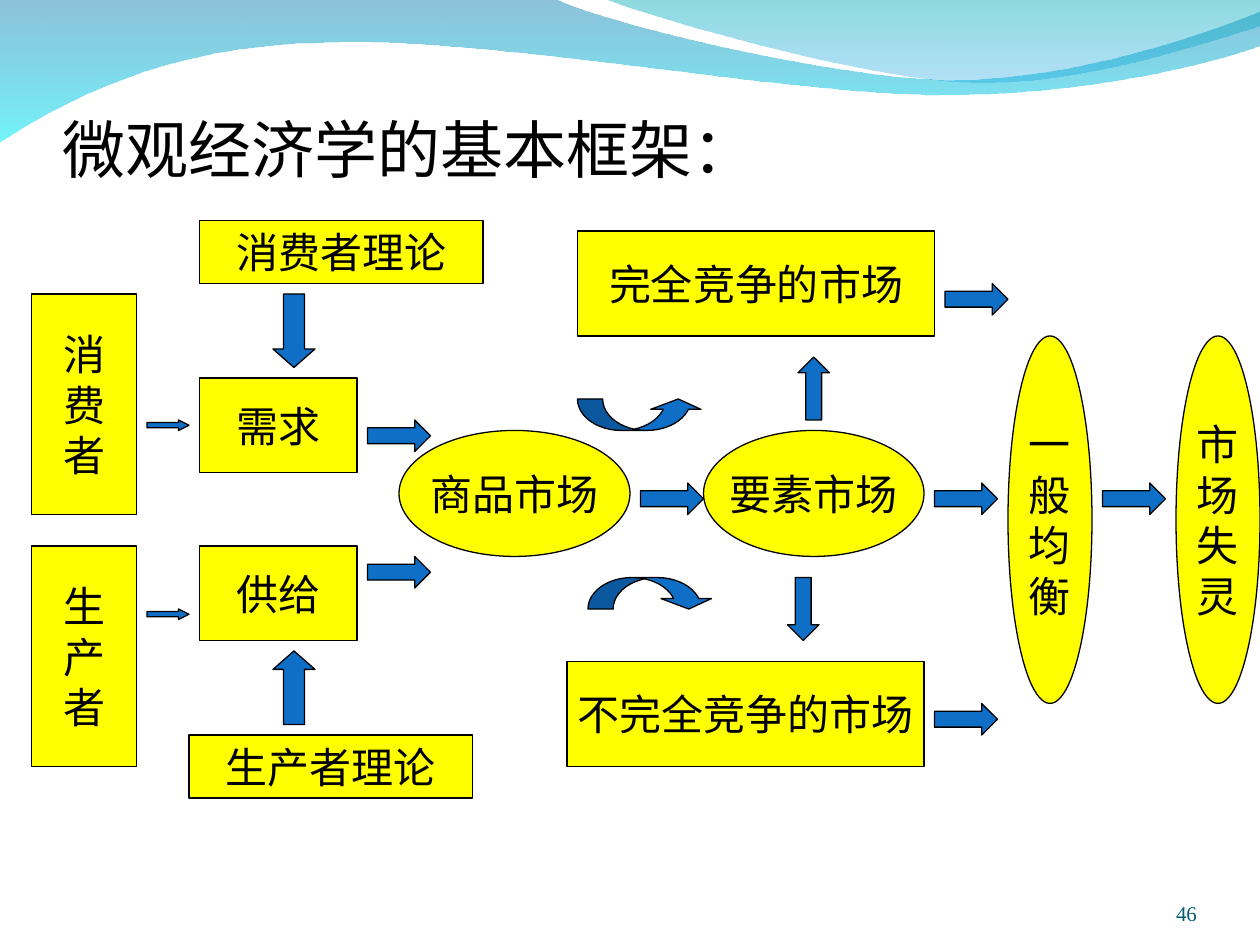
from lxml.etree import SubElement
from pptx import Presentation
from pptx.dml.color import RGBColor
from pptx.enum.shapes import MSO_SHAPE
from pptx.enum.text import MSO_ANCHOR, PP_ALIGN
from pptx.oxml.ns import qn
from pptx.util import Cm, Pt

BLACK = RGBColor(0x00, 0x00, 0x00)
YELLOW = RGBColor(0xFF, 0xFF, 0x00)
BLUE = RGBColor(0x0F, 0x6F, 0xC6)
TEAL = RGBColor(0x04, 0x5C, 0x75)
WAVE_BLUE = RGBColor(0x00, 0x79, 0xAF)
WAVE_CYAN = RGBColor(0x00, 0xEB, 0xF8)
WAVE_GREEN = RGBColor(0x00, 0xAD, 0xB6)
WAVE_SKY = RGBColor(0x00, 0x9B, 0xE5)
GRID = 2.54 / 12


def write(box, text, size=24, font="Times New Roman", color=BLACK, align=PP_ALIGN.CENTER,
          anchor=MSO_ANCHOR.MIDDLE, wrap=False, margins=(0.25, 0.13, 0.25, 0.13)):
    frame = box.text_frame
    frame.word_wrap = wrap
    frame.vertical_anchor = anchor
    frame.margin_left, frame.margin_top, frame.margin_right, frame.margin_bottom = map(Cm, margins)
    frame.text = text
    for para in frame.paragraphs:
        para.alignment = align
        for span in para.runs:
            span.font.size = Pt(size)
            span.font.name = font
            span.font.color.rgb = color


def draw(page, kind, cells, fill):
    shape = page.shapes.add_shape(kind, *[Cm(cell * GRID) for cell in cells])
    shape.shadow.inherit = False
    shape.fill.solid()
    shape.fill.fore_color.rgb = fill
    shape.line.color.rgb = BLACK
    shape.line.width = Pt(0.75)
    return shape


deck = Presentation()
deck.slide_width, deck.slide_height = Cm(25.4), Cm(19.05)
page = deck.slides.add_slide(deck.slide_layouts[6])

waves = [
    ((0, -0.03),
     [[(11.18, -0.03)],
      [(12.09, 0.43), (16.87, 1.6), (19.25, 1.6)],
      [(21.67, 1.6), (24.33, 0.66), (25.4, 0.23)],
      [(25.42, 0.91)],
      [(24.97, 1.12), (22.1, 1.93), (18.95, 1.91)],
      [(15.8, 1.91), (9.7, 0.71), (6.53, 0.86)],
      [(3.28, 0.89), (1.17, 2.11), (-0.03, 2.87)]],
     [(WAVE_BLUE, 45), (WAVE_CYAN, 55)]),
    ((12.17, -0.03),
     [[(12.93, 0.28), (17.32, 1.57), (19.53, 1.65)],
      [(21.74, 1.75), (24.41, 0.81), (25.4, 0.53)],
      [(25.4, -0.03)]],
     [(WAVE_GREEN, 45), (WAVE_SKY, 30)]),
]
for start, segments, colors in waves:
    builder = page.shapes.build_freeform(start[0] * 1000, start[1] * 1000, scale=Cm(1) / 1000)
    builder.add_line_segments([(x * 1000, y * 1000) for segment in segments for x, y in segment], close=True)
    wave = builder.convert_to_shape()
    lines = iter(list(wave.element.iter(qn("a:lnTo"))))
    for segment in segments:
        parts = [next(lines) for point in segment]
        if len(parts) == 3:
            outline = parts[0].getparent()
            curve = SubElement(outline, qn("a:cubicBezTo"))
            parts[0].addprevious(curve)
            for part in parts:
                curve.append(part[0])
                outline.remove(part)
    wave.shadow.inherit = False
    wave.line.fill.background()
    wave.fill.gradient()
    wave.fill.gradient_angle = 270
    for stop, position, (color, opacity) in zip(wave.fill.gradient_stops, (0, 1), colors):
        stop.position = position
        stop.color.rgb = color
    for element, (color, opacity) in zip(wave.element.iter(qn("a:srgbClr")), colors):
        SubElement(element, qn("a:alpha")).set("val", str(opacity * 1000))

title = page.shapes.add_textbox(Cm(1.27), Cm(1.85), Cm(21.59), Cm(1.91))
write(title, "微观经济学的基本框架：", size=36, font="Calibri", align=PP_ALIGN.LEFT,
      anchor=MSO_ANCHOR.BOTTOM, wrap=True, margins=(0, 0.13, 0, 0))

nodes = [
    (MSO_SHAPE.RECTANGLE, (19, 52, 15, 9), "供给"),
    (MSO_SHAPE.RECTANGLE, (19, 36, 15, 9), "需求"),
    (MSO_SHAPE.OVAL, (38, 41, 22, 12), "商品市场"),
    (MSO_SHAPE.RECTANGLE, (3, 28, 10, 21), "消\n费\n者"),
    (MSO_SHAPE.RECTANGLE, (3, 52, 10, 21), "生\n产\n者"),
    (MSO_SHAPE.RECTANGLE, (55, 22, 34, 10), "完全竞争的市场"),
    (MSO_SHAPE.RECTANGLE, (54, 63, 34, 10), "不完全竞争的市场"),
    (MSO_SHAPE.RECTANGLE, (19, 21, 27, 6), "消费者理论"),
    (MSO_SHAPE.RECTANGLE, (18, 70, 27, 6), "生产者理论"),
    (MSO_SHAPE.OVAL, (112, 32, 8, 35), "市\n场\n失\n灵"),
    (MSO_SHAPE.OVAL, (67, 41, 21, 12), "要素市场"),
    (MSO_SHAPE.OVAL, (96, 32, 8, 35), "一\n般\n均\n衡"),
]
for kind, cells, text in nodes:
    write(draw(page, kind, cells, YELLOW), text)

arrow_groups = [
    (MSO_SHAPE.RIGHT_ARROW, (4, 1), (0.5, 1), [(14, 40), (14, 58)]),
    (MSO_SHAPE.DOWN_ARROW, (4, 7), (0.5, 0.44), [(26, 28)]),
    (MSO_SHAPE.UP_ARROW, (4, 7), (0.5, 0.44), [(26, 62)]),
    (MSO_SHAPE.CURVED_UP_ARROW, (12, 3), (0.8, 1.6, 0.33), [(55, 38)]),
    (MSO_SHAPE.CURVED_DOWN_ARROW, (12, 3), (0.8, 1.6, 0.33), [(56, 55)]),
    (MSO_SHAPE.RIGHT_ARROW, (6, 3), (0.5, 0.5),
     [(35, 40), (35, 53), (90, 27), (89, 67), (61, 46), (89, 46), (105, 46)]),
    (MSO_SHAPE.UP_ARROW, (3, 6), (0.5, 0.5), [(76, 34)]),
    (MSO_SHAPE.DOWN_ARROW, (3, 6), (0.5, 0.5), [(75, 55)]),
]
for kind, size, adjustments, places in arrow_groups:
    for place in places:
        arrow = draw(page, kind, place + size, BLUE)
        for index, value in enumerate(adjustments):
            arrow.adjustments[index] = value

number = page.shapes.add_textbox(Cm(22.01), Cm(17.65), Cm(2.12), Cm(1.01))
write(number, "46", size=12, color=TEAL, align=PP_ALIGN.RIGHT,
      anchor=MSO_ANCHOR.BOTTOM, wrap=True, margins=(0, 0, 0, 0))

deck.save("out.pptx")
